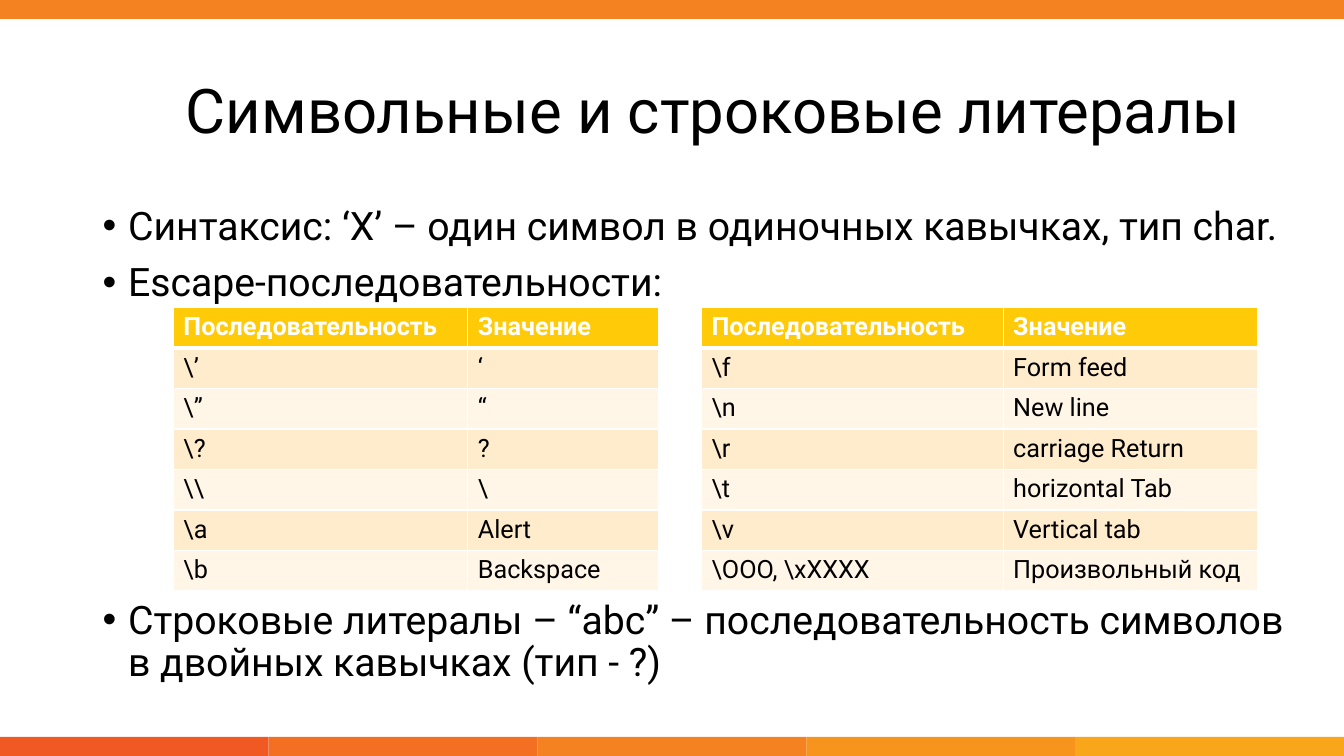
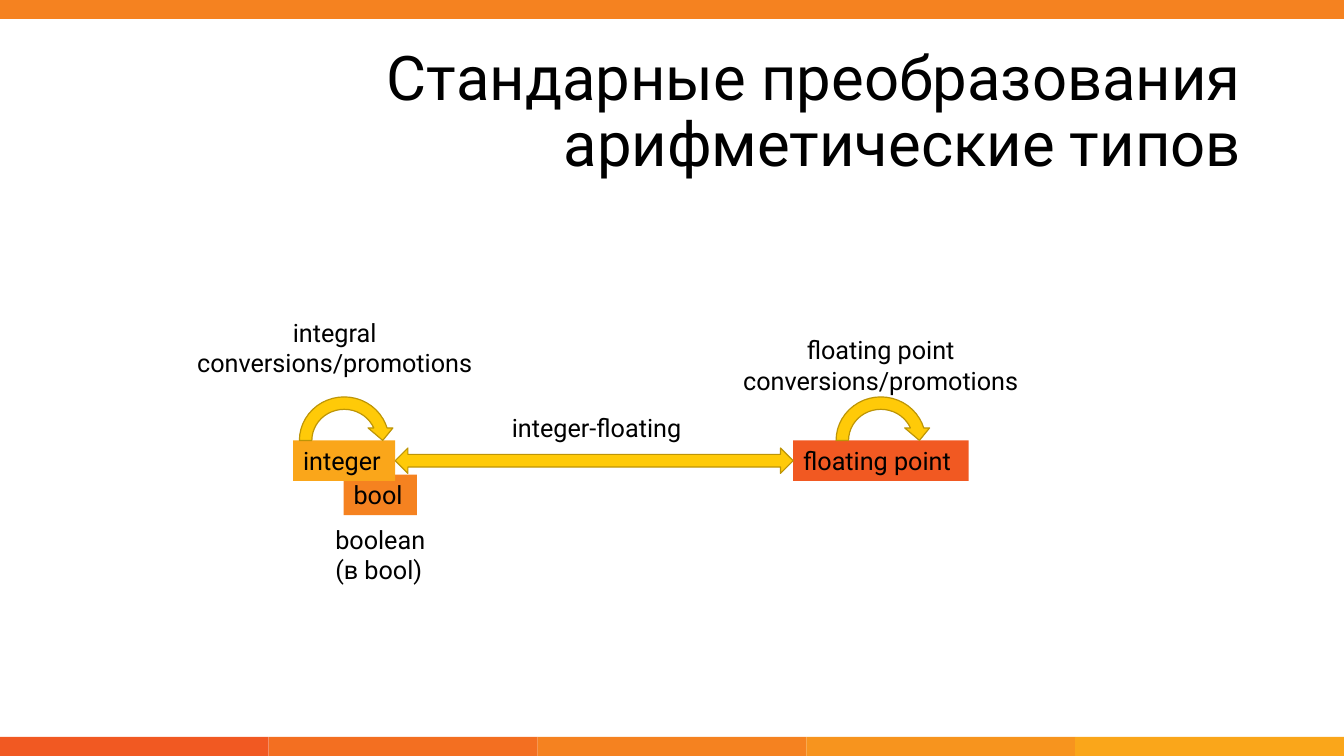
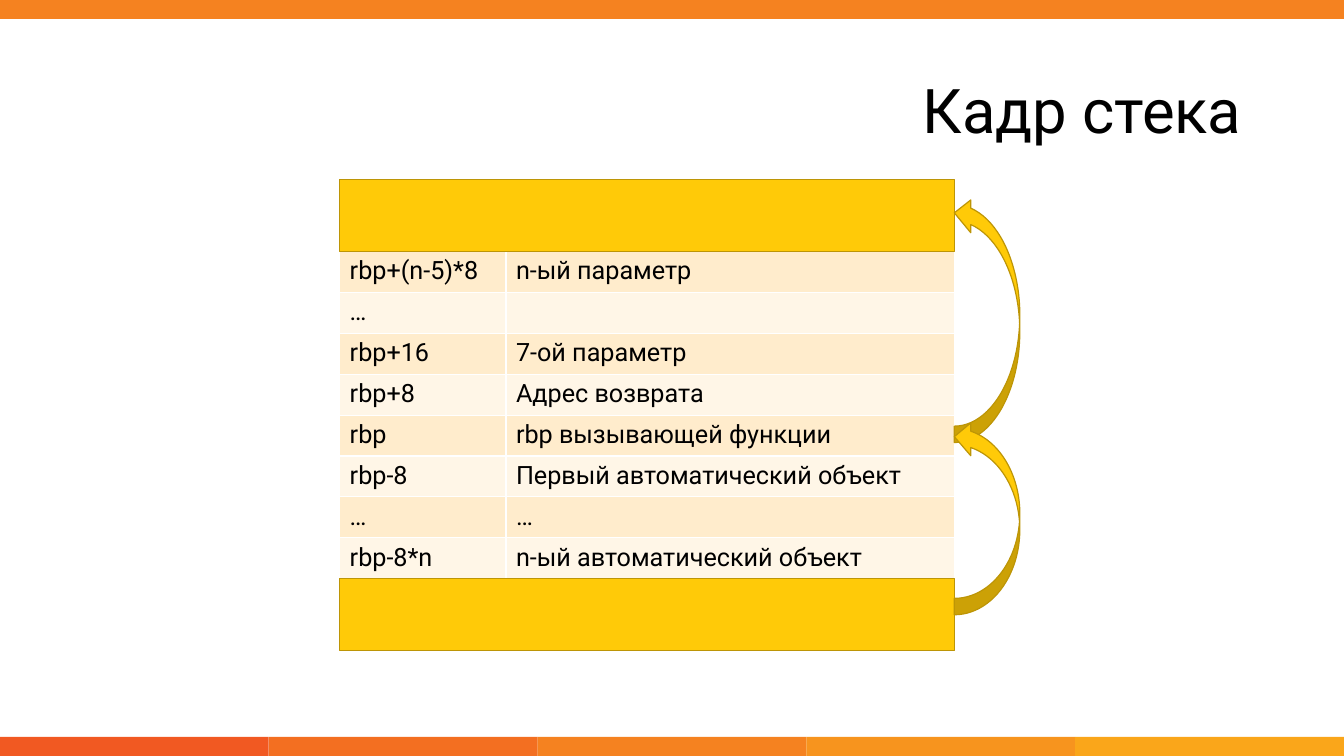
from pptx import Presentation
from pptx.dml.color import RGBColor
from pptx.enum.shapes import MSO_SHAPE
from pptx.enum.text import MSO_ANCHOR, PP_ALIGN
from pptx.oxml import parse_xml
from pptx.oxml.ns import nsdecls
from pptx.util import Cm, Pt

# Shared style
FONT = "Roboto"
BLACK = RGBColor(0x00, 0x00, 0x00)
WHITE = RGBColor(0xFF, 0xFF, 0xFF)
GOLD = RGBColor(0xFF, 0xCA, 0x08)
DARK_GOLD = RGBColor(0xBD, 0x95, 0x06)
RED_ORANGE = RGBColor(0xF1, 0x59, 0x22)
DEEP_ORANGE = RGBColor(0xF3, 0x6F, 0x21)
ORANGE = RGBColor(0xF5, 0x82, 0x20)
LIGHT_ORANGE = RGBColor(0xF7, 0x94, 0x1E)
AMBER = RGBColor(0xFA, 0xA6, 0x1A)
ROW_FILLS = (RGBColor(0xFF, 0xEC, 0xCC), RGBColor(0xFF, 0xF6, 0xE7))
FOOTER_FILLS = (RED_ORANGE, DEEP_ORANGE, ORANGE, LIGHT_ORANGE, AMBER)
SLIDE_W, SLIDE_H, BAND_H = 33.87, 19.05, 0.48

# Slide 1: bullets with space before in points, then the two tables
LITERALS_TITLE = "Символьные и строковые литералы"
LITERALS_BULLETS = [
    ("Синтаксис: ‘X’ – один символ в одиночных кавычках, тип char.", 10),
    ("Escape-последовательности:", 10),
    ("Строковые литералы – “abc” – последовательность символов "
     "в двойных кавычках (тип - ?)", 211),
]
ESCAPE_HEADER = ("Последовательность", "Значение")
ESCAPE_TOP, ESCAPE_ROW_H = 7.75, 1.02
ESCAPE_TABLES = [  # left, column widths, rows
    (4.37, (7.42, 4.8), [
        (r"\’", "‘"), (r"\”", "“"), (r"\?", "?"),
        (r"\\", "\\"), (r"\a", "Alert"), (r"\b", "Backspace")]),
    (17.68, (7.6, 6.41), [
        (r"\f", "Form feed"), (r"\n", "New line"), (r"\r", "carriage Return"),
        (r"\t", "horizontal Tab"), (r"\v", "Vertical tab"),
        (r"\OOO, \xXXXX", "Произвольный код")]),
]

# Slide 2: type boxes and conversion labels
CONVERSIONS_TITLE = "Стандарные преобразования арифметические типов"
TYPE_H = 1.02
TYPES = {  # left, top, width, fill
    "bool": (8.66, 11.96, 1.85, ORANGE),
    "integer": (7.39, 11.1, 2.57, AMBER),
    "floating point": (19.99, 11.1, 4.42, RED_ORANGE),
}
LOOP_W, LOOP_H, EXCHANGE_H = 2.57, 2.51, 0.64
CONVERSION_LABELS = [  # text, left, top, width, height, alignment
    ("integer-floating", 12.65, 10.26, 5.03, 1.02, PP_ALIGN.LEFT),
    ("floating point\nconversions/promotions", 18.26, 8.31, 7.87, 1.8, PP_ALIGN.CENTER),
    ("integral\nconversions/promotions", 4.5, 7.87, 7.87, 1.8, PP_ALIGN.CENTER),
    ("boolean\n(в bool)", 8.2, 13.08, 2.79, 1.8, PP_ALIGN.LEFT),
]

# Slide 3: stack frame
STACK_TITLE = "Кадр стека"
STACK_ROWS = [
    ("rbp+(n-5)*8", "n-ый параметр"),
    ("…", ""),
    ("rbp+16", "7-ой параметр"),
    ("rbp+8", "Адрес возврата"),
    ("rbp", "rbp вызывающей функции"),
    ("rbp-8", "Первый автоматический объект"),
    ("…", "…"),
    ("rbp-8*n", "n-ый автоматический объект"),
]
STACK_LEFT, STACK_TOP, STACK_COLS = 8.56, 4.52, (4.19, 11.3)
STACK_ROW_H, NEIGHBOUR_H = 1.03, 1.82
CALLER_LINKS = [(4.95, 6.2), (10.59, 4.9)]  # top, height
CALLER_LINK_W = 1.65


def style_text(frame, size, color=BLACK, bold=False, align=PP_ALIGN.LEFT):
    for paragraph in frame.paragraphs:
        paragraph.alignment = align
        for run in paragraph.runs:
            run.font.name = FONT
            run.font.size = Pt(size)
            run.font.bold = bold
            run.font.color.rgb = color


def add_block(slide, preset, left, top, width, height, fill, outline=None):
    block = slide.shapes.add_shape(preset, Cm(left), Cm(top), Cm(width), Cm(height))
    block.shadow.inherit = False
    block.fill.solid()
    block.fill.fore_color.rgb = fill
    if outline is None:
        block.line.fill.background()
    else:
        block.line.color.rgb = outline
        block.line.width = Pt(0.85)
    return block


def add_gold(slide, preset, left, top, width, height):
    return add_block(slide, preset, left, top, width, height, GOLD, DARK_GOLD)


def add_text(slide, text, left, top, width, height, size, align=PP_ALIGN.LEFT, wrap=True):
    box = slide.shapes.add_textbox(Cm(left), Cm(top), Cm(width), Cm(height))
    frame = box.text_frame
    frame.word_wrap = wrap
    frame.text = text
    style_text(frame, size, align=align)
    return frame


def add_base_slide(prs, title):
    slide = prs.slides.add_slide(prs.slide_layouts[6])
    add_block(slide, MSO_SHAPE.RECTANGLE, 0, 0, SLIDE_W, BAND_H, ORANGE)
    part_w = SLIDE_W / len(FOOTER_FILLS)
    for i, fill in enumerate(FOOTER_FILLS):
        add_block(slide, MSO_SHAPE.RECTANGLE, i * part_w, SLIDE_H - BAND_H,
                  part_w, BAND_H, fill)
    frame = add_text(slide, title, 2.34, 1.02, 29.21, 3.68, 44, PP_ALIGN.RIGHT)
    frame.vertical_anchor = MSO_ANCHOR.MIDDLE
    frame.paragraphs[0].line_spacing = 0.9
    return slide


def add_borders(cell, bottom):
    properties = cell._tc.get_or_add_tcPr()
    for side, width in (("L", 1), ("R", 1), ("T", 1), ("B", bottom)):
        properties.append(parse_xml(
            f'<a:ln{side} {nsdecls("a")} w="{Pt(width)}"><a:solidFill>'
            f'<a:srgbClr val="{WHITE}"/></a:solidFill></a:ln{side}>'))


def add_grid(slide, left, top, col_widths, row_h, rows, header=None):
    lines = ([header] if header else []) + rows
    table = slide.shapes.add_table(
        len(lines), len(col_widths), Cm(left), Cm(top),
        Cm(sum(col_widths)), Cm(row_h * len(lines))).table
    table.first_row = header is not None
    for column, width in zip(table.columns, col_widths):
        column.width = Cm(width)
    for i, line in enumerate(lines):
        table.rows[i].height = Cm(row_h)
        is_header = line is header
        row_fill = ROW_FILLS[(i - bool(header)) % 2]
        for cell, text in zip(table.rows[i].cells, line):
            cell.text = text
            style_text(cell.text_frame, 18, WHITE if is_header else BLACK, is_header)
            add_borders(cell, 3 if is_header else 1)
            cell.fill.solid()
            cell.fill.fore_color.rgb = GOLD if is_header else row_fill


def add_bullets(slide, bullets):
    text = "\n".join(bullet for bullet, _ in bullets)
    frame = add_text(slide, text, 2.34, 5.08, 30.28, 13, 28)
    for paragraph, (_, space) in zip(frame.paragraphs, bullets):
        paragraph.line_spacing = 0.9
        paragraph.space_before = Pt(space)
        properties = paragraph._p.get_or_add_pPr()
        properties.set("marL", str(Cm(0.64)))
        properties.set("indent", str(-Cm(0.64)))
        properties.append(parse_xml(f'<a:buFont {nsdecls("a")} typeface="Arial"/>'))
        properties.append(parse_xml(f'<a:buChar {nsdecls("a")} char="•"/>'))


def build_literals(prs):
    slide = add_base_slide(prs, LITERALS_TITLE)
    add_bullets(slide, LITERALS_BULLETS)
    for left, col_widths, rows in ESCAPE_TABLES:
        add_grid(slide, left, ESCAPE_TOP, col_widths, ESCAPE_ROW_H, rows, ESCAPE_HEADER)


def build_conversions(prs):
    slide = add_base_slide(prs, CONVERSIONS_TITLE)
    for name, (left, top, width, fill) in TYPES.items():
        frame = add_block(slide, MSO_SHAPE.RECTANGLE, left, top, width, TYPE_H,
                          fill).text_frame
        frame.text = name
        frame.vertical_anchor = MSO_ANCHOR.TOP
        style_text(frame, 18)
    # Loops centred on the upper side of their type
    for name in ("integer", "floating point"):
        left, top, width, _ = TYPES[name]
        add_gold(slide, MSO_SHAPE.CIRCULAR_ARROW, left + (width - LOOP_W) / 2,
                 top - LOOP_H / 2, LOOP_W, LOOP_H)
    # Two-way arrow filling the gap between the types
    left, top, width, _ = TYPES["integer"]
    start = left + width
    add_gold(slide, MSO_SHAPE.LEFT_RIGHT_ARROW, start, top + (TYPE_H - EXCHANGE_H) / 2,
             TYPES["floating point"][0] - start, EXCHANGE_H)
    for text, left, top, width, height, align in CONVERSION_LABELS:
        add_text(slide, text, left, top, width, height, 18, align,
                 wrap=align == PP_ALIGN.CENTER)


def build_stack(prs):
    slide = add_base_slide(prs, STACK_TITLE)
    stack_w = sum(STACK_COLS)
    rows_top = STACK_TOP + NEIGHBOUR_H
    rows_bottom = rows_top + STACK_ROW_H * len(STACK_ROWS)
    add_grid(slide, STACK_LEFT, rows_top, STACK_COLS, STACK_ROW_H, STACK_ROWS)
    # Neighbouring frames above and below
    for top in (STACK_TOP, rows_bottom):
        add_gold(slide, MSO_SHAPE.RECTANGLE, STACK_LEFT, top, stack_w, NEIGHBOUR_H)
    # Saved rbp links to the calling frame
    for top, height in CALLER_LINKS:
        link = add_gold(slide, MSO_SHAPE.CURVED_RIGHT_ARROW, STACK_LEFT + stack_w, top,
                        CALLER_LINK_W, height)
        link.rotation = 180


def main():
    prs = Presentation()
    prs.slide_width, prs.slide_height = Cm(SLIDE_W), Cm(SLIDE_H)
    build_literals(prs)
    build_conversions(prs)
    build_stack(prs)
    prs.save("out.pptx")


if __name__ == "__main__":
    main()
